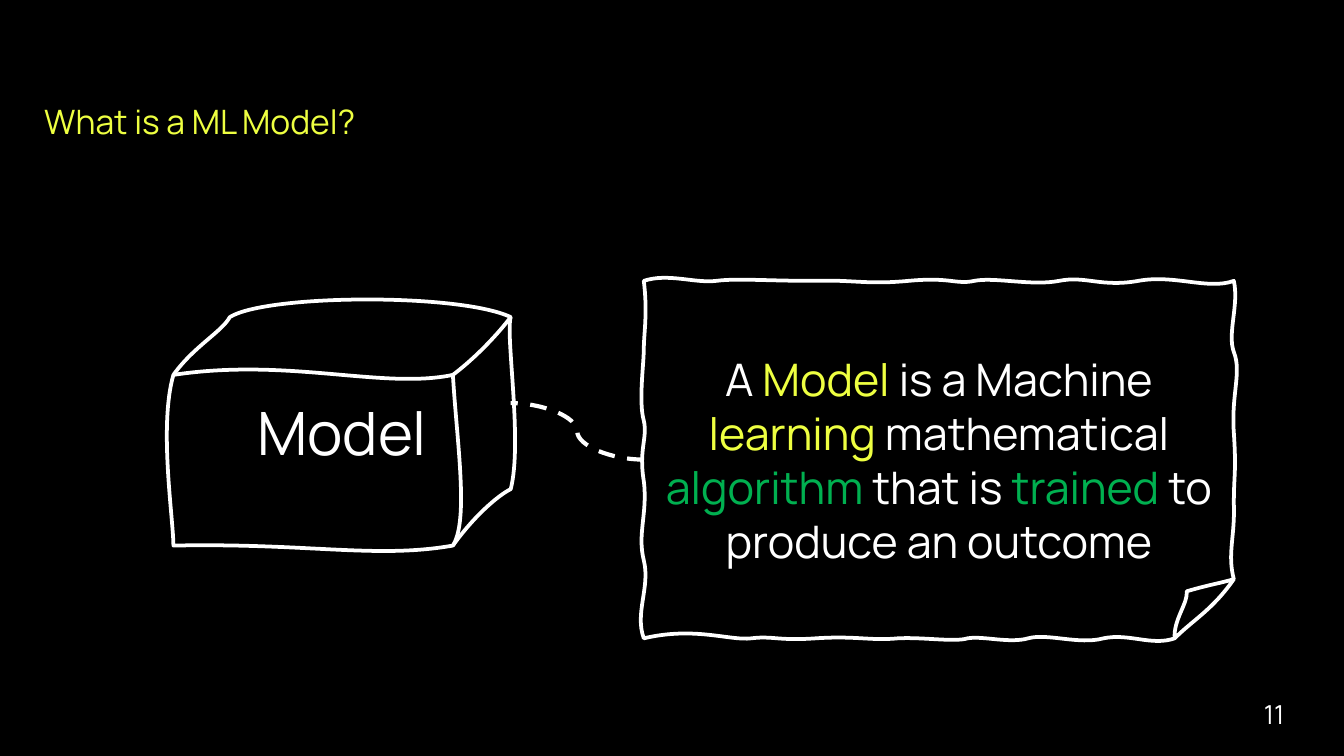
from dataclasses import dataclass
from pptx import Presentation
from pptx.dml.color import RGBColor as RGB
from pptx.enum.dml import MSO_LINE as DASH
from pptx.enum.shapes import MSO_CONNECTOR as CONN
from pptx.enum.text import MSO_ANCHOR as ANCHOR, PP_ALIGN as ALIGN
from pptx.oxml.ns import qn
from pptx.util import Inches, Pt
from lxml.etree import SubElement


@dataclass(frozen=True)
class Theme:
    font: str = "Manrope"
    back: RGB = RGB(0, 0, 0)
    plain: RGB = RGB(255, 255, 255)
    lime: RGB = RGB(0xEE, 0xFF, 0x41)
    green: RGB = RGB(0, 0xB0, 0x50)
    number: int = 14
    title: int = 18
    body: int = 24
    label: int = 32
    outline: float = 2
    link: float = 2.25


T = Theme()
WIDTH = Inches(10)
HEIGHT = WIDTH * 9 // 16
COLS = 1000
CELL = WIDTH // COLS

SHEET = [[
    (874, 475), (873, 461, 884, 449, 883, 440), (900, 435, 908, 434, 918, 431),
    (902, 454, 888, 461, 874, 475), (857, 481, 840, 471, 821, 475),
    (803, 480, 779, 471, 765, 475), (751, 479, 731, 473, 720, 475),
    (710, 478, 687, 474, 668, 475), (648, 477, 637, 473, 607, 475),
    (578, 477, 575, 473, 559, 475), (543, 477, 517, 466, 479, 475),
    (472, 456, 484, 437, 479, 417), (474, 397, 482, 382, 479, 358),
    (475, 334, 482, 326, 479, 313), (475, 299, 479, 271, 479, 260),
    (479, 248, 482, 233, 479, 209), (497, 203, 517, 211, 533, 209),
    (548, 207, 571, 209, 604, 209), (637, 208, 644, 212, 676, 209),
    (708, 206, 711, 212, 725, 209), (740, 206, 768, 213, 788, 209),
    (808, 205, 819, 214, 847, 209), (874, 204, 899, 216, 918, 209),
    (922, 227, 913, 248, 918, 262), (924, 277, 916, 293, 918, 322),
    (920, 352, 918, 352, 918, 375), (919, 399, 913, 412, 918, 431),
]]
CUBE = [
    [(129, 279), (144, 258, 165, 247, 171, 236), (198, 219, 342, 218, 380, 236),
     (376, 249, 389, 329, 380, 364), (370, 369, 352, 385, 337, 406),
     (280, 416, 230, 404, 129, 406), (129, 386, 118, 317, 129, 279)],
    [(129, 279), (215, 266, 285, 290, 337, 279), (358, 263, 374, 244, 380, 236)],
    [(337, 279), (340, 330, 349, 387, 337, 406)],
]
DEFINITION = [
    ("A ", T.plain), ("Model", T.lime), (" is a Machine ", T.plain),
    ("learning", T.lime), (" mathematical ", T.plain), ("algorithm", T.green),
    (" that is ", T.plain), ("trained", T.green),
    (" to produce an outcome", T.plain),
]


def apply(obj, values):
    for name, value in values.items():
        setattr(obj, name, value)


def write(sp, spans, size, inset=None, **para):
    tf = sp.text_frame
    apply(tf, {"word_wrap": True, "vertical_anchor": ANCHOR.MIDDLE})
    if inset is not None:
        apply(tf, {f"margin_{side}": inset for side in ("left", "top", "right", "bottom")})
    p = tf.paragraphs[0]
    apply(p, para)
    for text, color in spans:
        r = p.add_run()
        r.text = text
        apply(r.font, {"name": T.font, "size": Pt(size)})
        r.font.color.rgb = color


def add_text(s, box, spans, size, **para):
    sp = s.shapes.add_textbox(*(v * CELL for v in box))
    write(sp, spans, size, inset=Inches(0.1), **para)


def bend(sp, builder, curves):
    segments = list(sp._element.iter(qn("a:lnTo")))
    for segment, (x1, y1, x2, y2, _, _) in zip(segments, curves):
        segment.tag = qn("a:cubicBezTo")
        for i, (x, y) in enumerate([(x1, y1), (x2, y2)]):
            pt = SubElement(segment, qn("a:pt"))
            pt.set("x", str(x - builder.shape_offset_x))
            pt.set("y", str(y - builder.shape_offset_y))
            segment.insert(i, pt)


def add_sketch(s, contours, spans, size, fill=None):
    builder = s.shapes.build_freeform(*contours[0][0], scale=CELL)
    for i, (start, *curves) in enumerate(contours):
        if i:
            builder.move_to(*start)
        builder.add_line_segments([c[4:] for c in curves], close=False)
    sp = builder.convert_to_shape()
    bend(sp, builder, [c for contour in contours for c in contour[1:]])
    sp.shadow.inherit = False
    if fill is None:
        sp.fill.background()
    else:
        sp.fill.solid()
        sp.fill.fore_color.rgb = fill
    sp.line.color.rgb = T.plain
    sp.line.width = Pt(T.outline)
    write(sp, spans, size, alignment=ALIGN.CENTER)


def add_link(s, start, end):
    cx = s.shapes.add_connector(CONN.CURVE, *(v * CELL for v in start + end))
    cx.line.color.rgb = T.plain
    apply(cx.line, {"width": Pt(T.link), "dash_style": DASH.DASH})
    SubElement(cx._element.spPr, qn("a:effectLst"))


def main():
    prs = Presentation()
    apply(prs, {"slide_width": WIDTH, "slide_height": HEIGHT})
    s = prs.slides.add_slide(prs.slide_layouts[6])
    s.background.fill.solid()
    s.background.fill.fore_color.rgb = T.back

    add_text(s, (918, 510, 60, 43), [("11", T.plain)], T.number, alignment=ALIGN.CENTER)
    add_sketch(s, SHEET, DEFINITION, T.body, fill=T.back)
    add_link(s, (479, 342), (380, 300))
    add_text(s, (23, 60, 689, 66), [("What is a ML Model?", T.lime)], T.title, line_spacing=0.8)
    add_sketch(s, CUBE, [("Model", T.plain)], T.label)
    prs.save("out.pptx")


if __name__ == "__main__":
    main()
